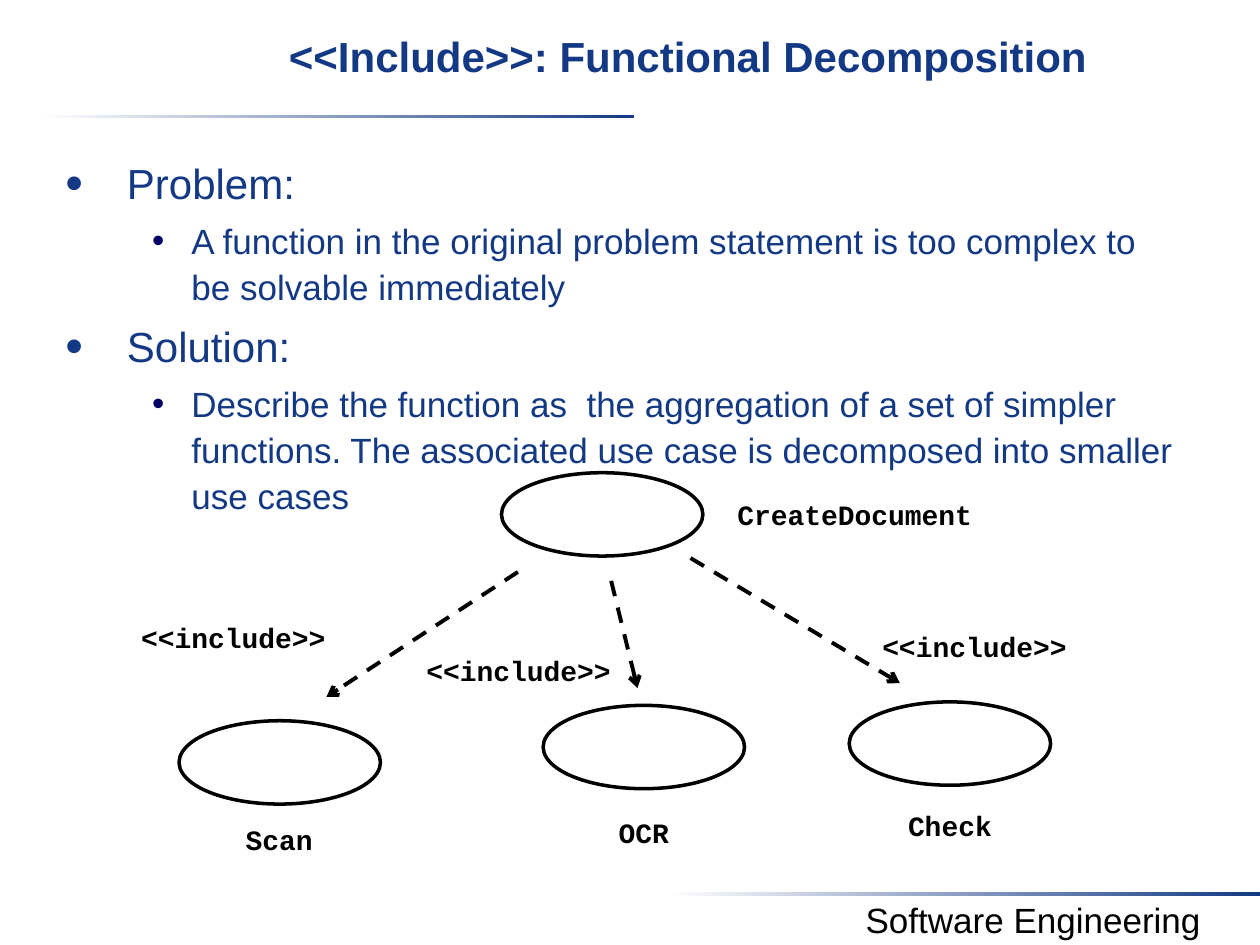
from dataclasses import dataclass

from lxml import etree
from pptx import Presentation
from pptx.dml.color import RGBColor
from pptx.enum.dml import MSO_LINE
from pptx.enum.shapes import MSO_CONNECTOR, MSO_SHAPE
from pptx.enum.text import MSO_ANCHOR, MSO_AUTO_SIZE, PP_ALIGN
from pptx.oxml.ns import qn
from pptx.util import Cm, Pt

NAVY = RGBColor(0x13, 0x39, 0x84)
BULLET_BLUE = RGBColor(0x00, 0x00, 0x66)
BLACK = RGBColor(0, 0, 0)
WHITE = RGBColor(255, 255, 255)

CENTER = PP_ALIGN.CENTER
TOP = MSO_ANCHOR.TOP
GROW = MSO_AUTO_SIZE.SHAPE_TO_FIT_TEXT
RECTANGLE = MSO_SHAPE.RECTANGLE
OVAL = MSO_SHAPE.OVAL
STRAIGHT = MSO_CONNECTOR.STRAIGHT
DASH = MSO_LINE.DASH

SANS = "Arial"
MONO = "Courier New"


@dataclass
class Area:
    left: float
    top: float
    width: float
    height: float

    def lengths(self) -> list:
        return [Cm(n) for n in (self.left, self.top, self.width, self.height)]


@dataclass
class Level:
    size: int
    margin: float
    hanging: float
    bullet_color: RGBColor
    bullet_percent: int


@dataclass
class UseCase:
    name: str
    left: float
    top: float
    label: Area


@dataclass
class Include:
    start: tuple[float, float]
    end: tuple[float, float]
    label: Area


HEADING = Level(24, 1.24, 1.24, NAVY, 120)
DETAIL = Level(20, 2.54, 0.79, BULLET_BLUE, 100)

BARS = [Area(0.79, 2.31, 12, 0.08), Area(13.41, 17.98, 12, 0.08)]
BODY = [
    (HEADING, "Problem:"),
    (DETAIL, "A function in the original problem statement is too complex to "
             "be solvable immediately"),
    (HEADING, "Solution:"),
    (DETAIL, "Describe the function as  the aggregation of a set of simpler functions. "
             "The associated use case is decomposed into smaller use cases"),
]
USE_CASES = [
    UseCase("CreateDocument", 10.11, 9.53, Area(14.5, 9.91, 5.46, 0.91)),
    UseCase("Scan", 3.61, 14.53, Area(4.43, 16.46, 2.4, 0.91)),
    UseCase("OCR", 10.95, 14.22, Area(11.98, 16.31, 2, 0.91)),
    UseCase("Check", 17.12, 14.15, Area(17.75, 16.18, 2.8, 0.91)),
]
INCLUDES = [
    Include((10.44, 11.53), (6.58, 14.05), Area(2.84, 12.52, 3.73, 0.69)),
    Include((12.32, 11.71), (12.85, 13.87), Area(8.59, 13.18, 3.73, 0.69)),
    Include((13.92, 11.25), (18.14, 13.77), Area(17.78, 12.7, 3.73, 0.69)),
]


def set_font(para, name: str, size: int, color: RGBColor, bold: bool = False) -> None:
    font = para.font
    font.name, font.size, font.bold = name, Pt(size), bold
    font.color.rgb = color


def add_line_of_text(page, area: Area, text: str, name: str, size: int,
                     color: RGBColor, bold: bool = False, wrap: bool = True):
    frame = page.shapes.add_textbox(*area.lengths()).text_frame
    frame.word_wrap = wrap
    frame.vertical_anchor = TOP
    para = frame.paragraphs[0]
    para.text = text
    para.alignment = CENTER
    set_font(para, name, size, color, bold)
    return frame


def add_label(page, area: Area, text: str, padded: bool = True) -> None:
    frame = add_line_of_text(page, area, text, MONO, 16, BLACK, bold=True, wrap=False)
    frame.auto_size = GROW
    if not padded:
        frame.margin_left = frame.margin_right = 0
        frame.margin_top = frame.margin_bottom = 0


def add_bar(page, area: Area) -> None:
    bar = page.shapes.add_shape(RECTANGLE, *area.lengths())
    bar.shadow.inherit = False
    bar.line.fill.background()
    bar.fill.gradient()
    bar.fill.gradient_angle = 0
    for stop, position, color in zip(bar.fill.gradient_stops, (0, 1), (WHITE, NAVY)):
        stop.position = position
        stop.color.rgb = color


def set_bullet(para, level: Level) -> None:
    properties = para._p.get_or_add_pPr()
    properties.set("marL", str(Cm(level.margin)))
    properties.set("indent", str(-Cm(level.hanging)))
    color = etree.SubElement(properties, qn("a:buClr"))
    etree.SubElement(color, qn("a:srgbClr"), val=str(level.bullet_color))
    etree.SubElement(properties, qn("a:buSzPct"), val=str(level.bullet_percent * 1000))
    etree.SubElement(properties, qn("a:buFont"), typeface=SANS)
    etree.SubElement(properties, qn("a:buChar"), char="•")


def add_body(page, area: Area) -> None:
    frame = page.shapes.add_textbox(*area.lengths()).text_frame
    frame.word_wrap = True
    for index, (level, text) in enumerate(BODY):
        para = frame.add_paragraph() if index else frame.paragraphs[0]
        para.text = text
        para.level = int(level is DETAIL)
        set_bullet(para, level)
        para.line_spacing = 1.1
        para.space_before = Pt(level.size * 0.2 if index else 0)
        set_font(para, SANS, level.size, NAVY)


def add_use_case(page, case: UseCase) -> None:
    oval = page.shapes.add_shape(OVAL, *Area(case.left, case.top, 4.06, 1.68).lengths())
    oval.shadow.inherit = False
    oval.fill.background()
    oval.line.color.rgb = BLACK
    oval.line.width = Pt(2)
    add_label(page, case.label, case.name)


def add_include(page, include: Include) -> None:
    ends = [Cm(n) for n in include.start + include.end]
    arrow = page.shapes.add_connector(STRAIGHT, *ends)
    arrow.line.color.rgb = BLACK
    arrow.line.width = Pt(2.25)
    arrow.line.dash_style = DASH
    etree.SubElement(arrow.line._get_or_add_ln(), qn("a:tailEnd"), type="arrow")
    etree.SubElement(arrow._element.spPr, qn("a:effectLst"))
    add_label(page, include.label, "<<include>>", padded=False)


def main() -> None:
    deck = Presentation()
    deck.slide_width, deck.slide_height = Cm(25.4), Cm(19.05)
    page = deck.slides.add_slide(deck.slide_layouts[6])

    # Frame of the page
    for bar in BARS:
        add_bar(page, bar)
    add_line_of_text(page, Area(16.26, 17.98, 9.14, 1.12), "Software Engineering",
                     SANS, 20, BLACK)

    # Title and bullets
    add_line_of_text(page, Area(2.34, 0.5, 23.06, 1.9),
                     "<<Include>>: Functional Decomposition", SANS, 24, NAVY, bold=True)
    add_body(page, Area(1.07, 2.95, 22.94, 13.67))

    # Use case diagram
    for case in USE_CASES:
        add_use_case(page, case)
    for include in INCLUDES:
        add_include(page, include)

    deck.save("out.pptx")


if __name__ == "__main__":
    main()
